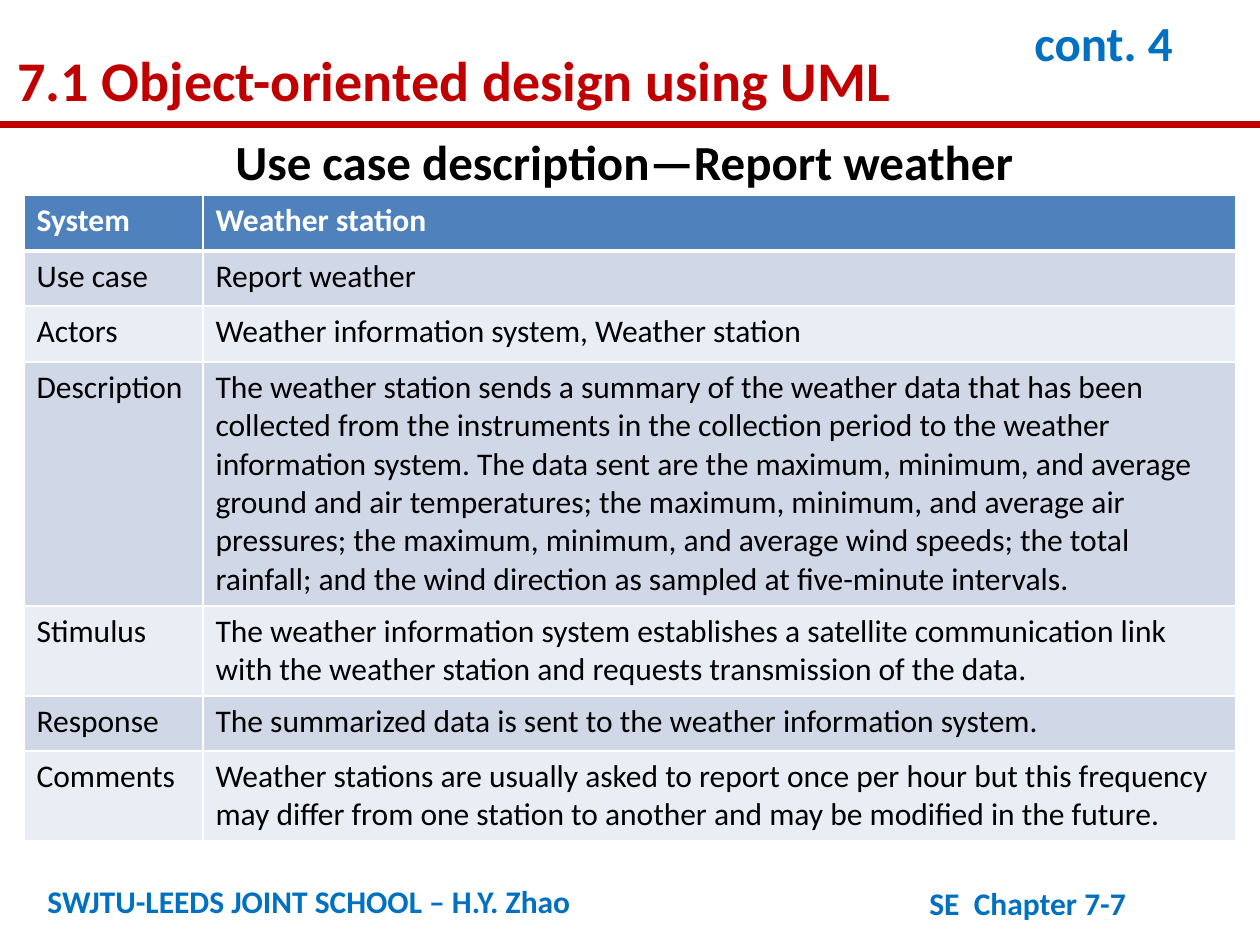
from lxml import etree
from pptx import Presentation
from pptx.dml.color import RGBColor
from pptx.enum.shapes import MSO_CONNECTOR
from pptx.enum.text import MSO_ANCHOR, MSO_AUTO_SIZE, PP_ALIGN
from pptx.oxml.ns import qn
from pptx.util import Emu, Pt

LINE = MSO_CONNECTOR.STRAIGHT
TOP = MSO_ANCHOR.TOP
LEFT = PP_ALIGN.LEFT
FIXED = MSO_AUTO_SIZE.NONE
SCALE = 914400 / 126
FONT = "Calibri"
RED, BLUE, BLACK, WHITE = "C00000", "0070C0", "000000", "FFFFFF"
HEAD, BANDS = "4F81BD", ("E9EDF4", "D0D8E8")
COLS = (179, 1033)
ROWS = (
    (56, "System", "Weather station"),
    (55, "Use case", "Report weather"),
    (56, "Actors", "Weather information system, Weather station"),
    (244, "Description",
     "The weather station sends a summary of the weather data that has been "
     "collected from the instruments in the collection period to the weather "
     "information system. The data sent are the maximum, minimum, and average "
     "ground and air temperatures; the maximum, minimum, and average air "
     "pressures; the maximum, minimum, and average wind speeds; the total "
     "rainfall; and the wind direction as sampled at five-minute intervals."),
    (90, "Stimulus",
     "The weather information system establishes a satellite communication "
     "link with the weather station and requests transmission of the data."),
    (55, "Response",
     "The summarized data is sent to the weather information system."),
    (90, "Comments",
     "Weather stations are usually asked to report once per hour but this "
     "frequency may differ from one station to another and may be modified "
     "in the future."),
)


def px(num):
    """Turn pixels into EMU."""
    return Emu(round(num * SCALE))


def color(code):
    """Turn a hex string into a colour."""
    return RGBColor.from_string(code)


def write(frame, text, size=18, tint=BLUE, bold=True, space=None):
    """Put one formatted paragraph into a text frame."""
    para = frame.paragraphs[0]
    para.alignment = LEFT
    para.line_spacing = space
    run = para.add_run()
    run.text = text
    font = run.font
    font.name, font.size, font.bold = FONT, Pt(size), bold
    font.color.rgb = color(tint)


def add_text(slide, box, text, wrap=True, **style):
    """Add a text box."""
    frame = slide.shapes.add_textbox(*map(px, box)).text_frame
    frame.word_wrap = wrap
    write(frame, text, **style)


def add_title(slide, box, text, **style):
    """Place and fill the title."""
    title = slide.shapes.title
    title.left, title.top, title.width, title.height = map(px, box)
    frame = title.text_frame
    frame.auto_size = FIXED
    frame.vertical_anchor = TOP
    write(frame, text, **style)


def add_rule(slide, y, tint, width):
    """Add a line across the whole slide."""
    rule = slide.shapes.add_connector(LINE, 0, px(y), px(1260), px(y))
    rule.line.color.rgb = color(tint)
    rule.line.width = Pt(width)
    etree.SubElement(rule.element.spPr, qn("a:effectLst"))


def add_edges(cell, **widths):
    """Draw white borders on a cell, with widths in points by side."""
    props = cell._tc.get_or_add_tcPr()
    for side in "LRTB":
        edge = etree.SubElement(props, qn(f"a:ln{side}"),
                                w=str(Pt(widths.get(side, 1))))
        fill = etree.SubElement(edge, qn("a:solidFill"))
        etree.SubElement(fill, qn("a:srgbClr"), val=WHITE)


def add_grid(slide, left, top):
    """Add the use case table."""
    high = sum(row[0] for row in ROWS)
    grid = slide.shapes.add_table(len(ROWS), len(COLS), px(left), px(top),
                                  px(sum(COLS)), px(high)).table
    for col, width in zip(grid.columns, COLS):
        col.width = px(width)
    for num, (height, *texts) in enumerate(ROWS):
        grid.rows[num].height = px(height)
        first = num == 0
        for cell, text in zip(grid.rows[num].cells, texts):
            add_edges(cell, T=3 if num == 1 else 1, B=3 if first else 1)
            cell.fill.solid()
            cell.fill.fore_color.rgb = color(HEAD if first else BANDS[num % 2])
            write(cell.text_frame, text, tint=WHITE if first else BLACK,
                  bold=first)


def main():
    """Build and save the slide."""
    deck = Presentation()
    deck.slide_width, deck.slide_height = px(1260), px(945)
    slide = deck.slides.add_slide(deck.slide_layouts[5])
    add_rule(slide, 125, RED, 4)
    add_text(slide, (35, 876, 795, 50), "SWJTU-LEEDS JOINT SCHOOL – H.Y. Zhao")
    add_text(slide, (917, 878, 329, 50), "SE  Chapter 7-7")
    add_text(slide, (1022, 21, 198, 59), "cont. 4", size=28, space=Pt(25))
    add_title(slide, (5, 26, 953, 88), "7.1 Object-oriented design using UML",
              size=32, tint=RED, space=1.2)
    add_grid(slide, 24, 195)
    add_text(slide, (223, 125, 824, 72), "Use case description—Report weather",
             wrap=False, size=28, tint=BLACK)
    deck.save("out.pptx")


if __name__ == "__main__":
    main()
